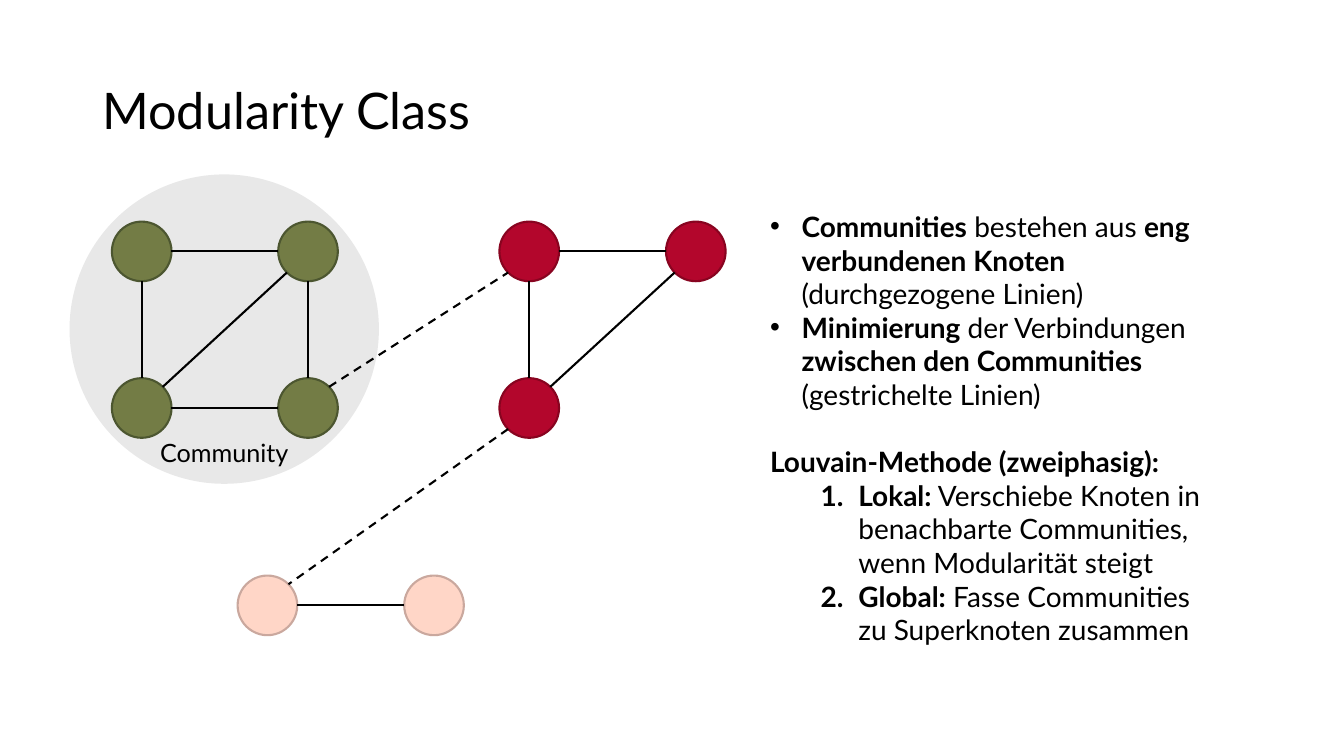
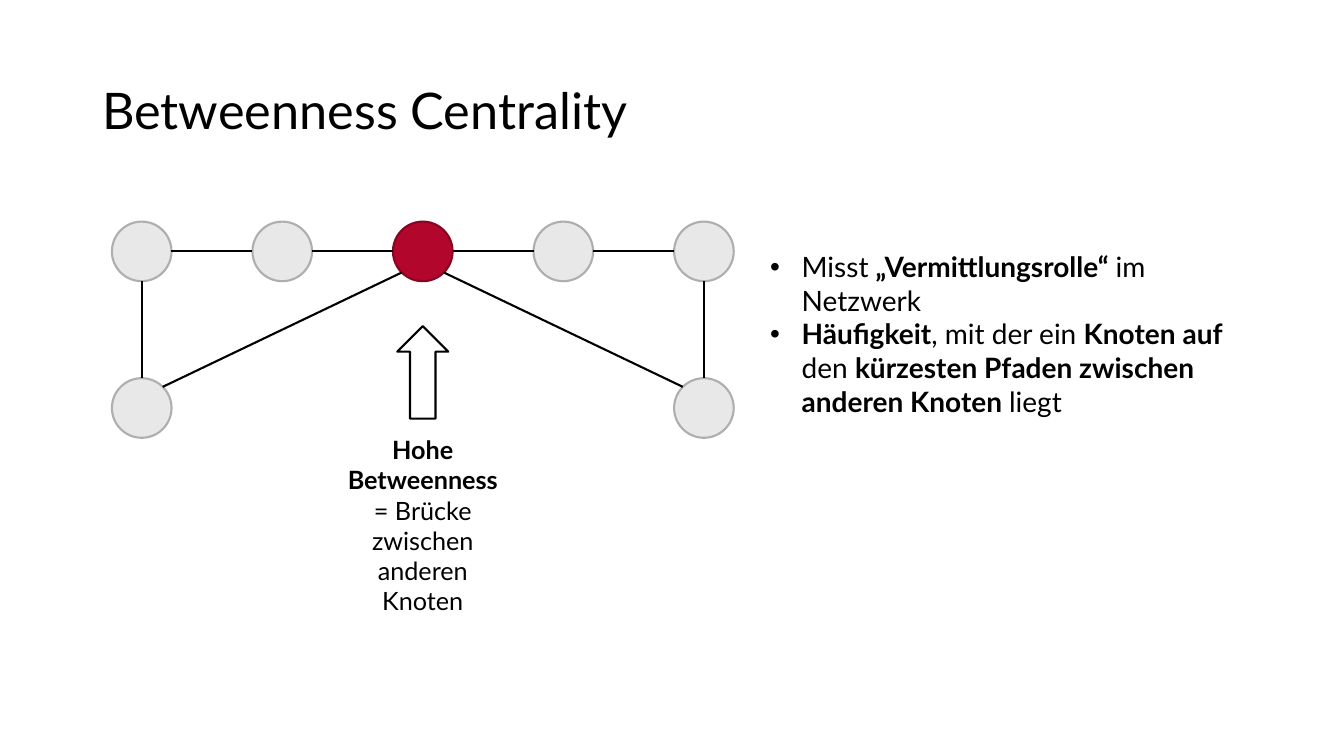
"""Build two slides that explain modularity classes and betweenness centrality."""

from dataclasses import dataclass
from math import hypot

from lxml.etree import SubElement
from pptx import Presentation
from pptx.dml.color import RGBColor
from pptx.enum.dml import MSO_LINE
from pptx.enum.shapes import MSO_CONNECTOR, MSO_SHAPE
from pptx.enum.text import MSO_ANCHOR, PP_ALIGN
from pptx.oxml.ns import qn
from pptx.util import Pt


@dataclass(frozen=True)
class Theme:
    font: str = "Lato"
    title_size: float = 36
    body_size: float = 20
    label_size: float = 18
    line_width: float = 1.5
    node_size: float = 42.6
    ink: str = "000000"
    halo: str = "E8E8E8"
    green: tuple = ("737C45", "4C5630")
    red: tuple = ("B3062C", "880420")
    pink: tuple = ("FFD6C7", "CAA89E")
    grey: tuple = ("E8E8E8", "AEAEAE")


THEME = Theme()
TITLE_BOX = (66, 28.8, 828, 104.4)
TOP, BOTTOM, LOW = 179.6, 291.4, 432.4
LEFT, STEP = 101.2, 100.4
COLUMNS = [LEFT + STEP * index for index in range(5)]

MARKS = {
    "bullet": (0, 22.5, 22.5, "buChar", {"char": "•"}),
    "number": (1, 63, 27, "buAutoNum", {"type": "arabicPeriod"}),
}

SLIDES = [
    {
        "title": "Modularity Class",
        "halo": (49.7, 124.6, 221, 221),
        "nodes": {
            "green 1": (LEFT, TOP, THEME.green),
            "green 2": (220, TOP, THEME.green),
            "green 3": (LEFT, BOTTOM, THEME.green),
            "green 4": (220, BOTTOM, THEME.green),
            "pink 1": (191, LOW, THEME.pink),
            "pink 2": (310, LOW, THEME.pink),
            "red 1": (378, TOP, THEME.red),
            "red 2": (497, TOP, THEME.red),
            "red 3": (378, BOTTOM, THEME.red),
        },
        "links": [
            ("green 1", "green 2"), ("green 3", "green 4"), ("green 1", "green 3"),
            ("green 2", "green 4"), ("green 2", "green 3"), ("red 1", "red 3"),
            ("red 1", "red 2"), ("red 3", "red 2"), ("pink 1", "pink 2"),
        ],
        "bridges": [("green 4", "red 1"), ("red 3", "pink 1")],
        "body_box": (543, 146, 337.7, 322.6),
        "body": [
            ("bullet", 0, "**Communities** bestehen aus **eng verbundenen Knoten** (durchgezogene Linien)"),
            ("bullet", 0, "**Minimierung** der Verbindungen **zwischen den Communities **(gestrichelte Linien)"),
            (None, 24, "**Louvain-Methode (zweiphasig):**"),
            ("number", 0, "**Lokal:** Verschiebe Knoten in benachbarte Communities, wenn Modularität steigt"),
            ("number", 0, "**Global:** Fasse Communities zu Superknoten zusammen"),
        ],
        "label_box": (90, 309, 140.4, 28.8),
        "label": [(None, 0, "Community")],
    },
    {
        "title": "Betweenness Centrality",
        "nodes": {
            "bridge": (COLUMNS[2], TOP, THEME.red),
            "inner left": (COLUMNS[1], TOP, THEME.grey),
            "top left": (COLUMNS[0], TOP, THEME.grey),
            "inner right": (COLUMNS[3], TOP, THEME.grey),
            "top right": (COLUMNS[4], TOP, THEME.grey),
            "bottom left": (COLUMNS[0], BOTTOM, THEME.grey),
            "bottom right": (COLUMNS[4], BOTTOM, THEME.grey),
        },
        "links": [
            ("top left", "bottom left"), ("top left", "inner left"),
            ("inner left", "bridge"), ("bridge", "inner right"),
            ("inner right", "top right"), ("top right", "bottom right"),
            ("bottom left", "bridge"), ("bottom right", "bridge"),
        ],
        "body_box": (543, 174.8, 337.7, 128.2),
        "body": [
            ("bullet", 0, "Misst **„Vermittlungsrolle“ **im Netzwerk"),
            ("bullet", 0, "**Häufigkeit**, mit der ein **Knoten auf **den "
                          "**kürzesten Pfaden zwischen anderen Knoten **liegt"),
        ],
        "arrow": (COLUMNS[2] - 18.2, 233, 36.4, 66),
        "label_box": (COLUMNS[2] - 70.2, 306.7, 140.4, 116.6),
        "label": [(None, 0, "**Hohe Betweenness**"), (None, 0, "= Brücke zwischen anderen Knoten")],
    },
]


def points(values):
    return [Pt(value) for value in values]


def color(code):
    return RGBColor.from_string(code)


def add_outline(page, kind, box, fill=None, line=None):
    shape = page.shapes.add_shape(kind, *points(box))
    shape.shadow.inherit = False
    if fill:
        shape.fill.solid()
        shape.fill.fore_color.rgb = color(fill)
    else:
        shape.fill.background()
    if line:
        shape.line.color.rgb = color(line)
        shape.line.width = Pt(THEME.line_width)
    else:
        shape.line.fill.background()


def set_mark(para, mark):
    level, margin, hanging, tag, attributes = MARKS[mark]
    para.level = level
    properties = para._p.get_or_add_pPr()
    properties.set("marL", str(Pt(margin)))
    properties.set("indent", str(-Pt(hanging)))
    SubElement(properties, qn("a:buFont"), typeface="Arial" if mark == "bullet" else "+mj-lt")
    SubElement(properties, qn("a:" + tag), **attributes)


def add_text(page, box, paragraphs, size, align=PP_ALIGN.LEFT):
    frame = page.shapes.add_textbox(*points(box)).text_frame
    frame.word_wrap = True
    for index, (mark, gap, text) in enumerate(paragraphs):
        para = frame.add_paragraph() if index else frame.paragraphs[0]
        if mark:
            set_mark(para, mark)
        para.alignment = align
        if gap:
            para.space_before = Pt(gap)
        for position, piece in enumerate(text.split("**")):
            if piece:
                span = para.add_run()
                span.text = piece
                span.font.name = THEME.font
                span.font.size = Pt(size)
                span.font.bold = position % 2 == 1
                span.font.color.rgb = color(THEME.ink)
    return frame


def rim_point(node, other):
    """Return the point on the node's rim, in steps of 45 degrees, that faces the other node."""
    signs = [(end > start) - (end < start) for start, end in zip(node[:2], other[:2])]
    reach = THEME.node_size / 2 / hypot(*signs)
    return [center + sign * reach for center, sign in zip(node[:2], signs)]


def add_link(page, start, end, dashed=False):
    ends = points(rim_point(start, end) + rim_point(end, start))
    link = page.shapes.add_connector(MSO_CONNECTOR.STRAIGHT, *ends)
    link.line.color.rgb = color(THEME.ink)
    link.line.width = Pt(THEME.line_width)
    if dashed:
        link.line.dash_style = MSO_LINE.DASH
    SubElement(link._element.spPr, qn("a:effectLst"))


def build_page(deck, content):
    page = deck.slides.add_slide(deck.slide_layouts[6])
    if "halo" in content:
        add_outline(page, MSO_SHAPE.OVAL, content["halo"], THEME.halo)
    title = add_text(page, TITLE_BOX, [(None, 0, content["title"])], THEME.title_size)
    title.vertical_anchor = MSO_ANCHOR.MIDDLE
    title.paragraphs[0].line_spacing = 0.9

    nodes, size = content["nodes"], THEME.node_size
    for x, y, (fill, line) in nodes.values():
        add_outline(page, MSO_SHAPE.OVAL, (x - size / 2, y - size / 2, size, size), fill, line)
    for start, end in content["links"]:
        add_link(page, nodes[start], nodes[end])
    for start, end in content.get("bridges", []):
        add_link(page, nodes[start], nodes[end], dashed=True)

    add_text(page, content["body_box"], content["body"], THEME.body_size)
    if "arrow" in content:
        add_outline(page, MSO_SHAPE.UP_ARROW, content["arrow"], line=THEME.ink)
    add_text(page, content["label_box"], content["label"], THEME.label_size, PP_ALIGN.CENTER)


def main():
    deck = Presentation()
    deck.slide_width, deck.slide_height = Pt(960), Pt(540)
    for content in SLIDES:
        build_page(deck, content)
    deck.save("out.pptx")


if __name__ == "__main__":
    main()
